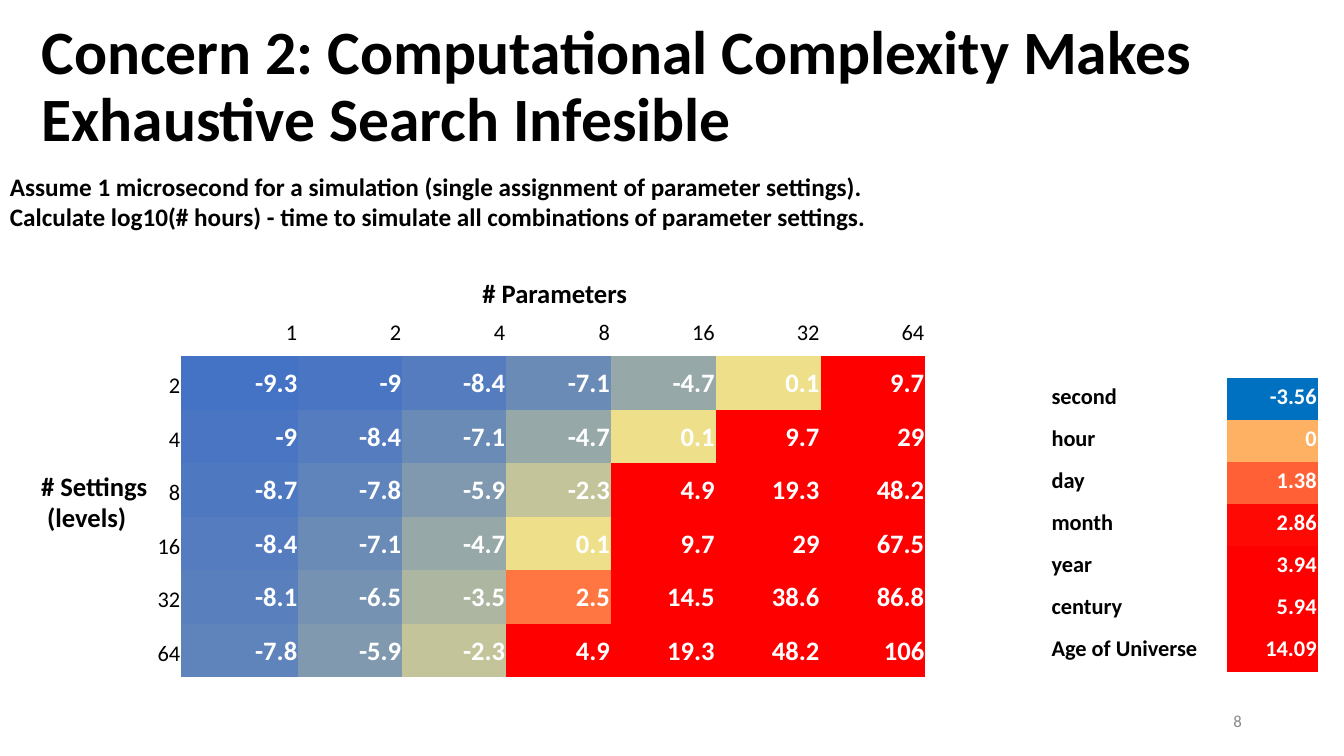
"""Build the slide on the computational cost of exhaustive search."""
from math import log2, log10

from pptx import Presentation
from pptx.dml.color import RGBColor
from pptx.enum.text import MSO_ANCHOR as Anchor, MSO_AUTO_SIZE as AutoSize, PP_ALIGN as Align
from pptx.util import Cm, Pt

FONT = "Calibri"
BLACK = RGBColor(0x00, 0x00, 0x00)
WHITE = RGBColor(0xFF, 0xFF, 0xFF)
GREY = RGBColor(0x88, 0x88, 0x88)
RED = RGBColor(0xFF, 0x00, 0x00)
BLUE = RGBColor(0x00, 0x70, 0xC0)
APRICOT = RGBColor(0xFF, 0xB1, 0x63)
CORAL = RGBColor(0xFF, 0x60, 0x36)
SCARLET = RGBColor(0xFF, 0x09, 0x05)
HEAT_BY_BITS = {
    1: RGBColor(0x44, 0x72, 0xC4),
    2: RGBColor(0x49, 0x75, 0xC3),
    3: RGBColor(0x4E, 0x79, 0xC1),
    4: RGBColor(0x54, 0x7C, 0xBF),
    5: RGBColor(0x59, 0x80, 0xBD),
    6: RGBColor(0x5F, 0x83, 0xBB),
    8: RGBColor(0x6B, 0x8B, 0xB7),
    10: RGBColor(0x76, 0x92, 0xB3),
    12: RGBColor(0x81, 0x99, 0xAF),
    16: RGBColor(0x97, 0xA8, 0xA8),
    20: RGBColor(0xAD, 0xB6, 0xA0),
    24: RGBColor(0xC3, 0xC4, 0x99),
    32: RGBColor(0xEE, 0xE0, 0x8A),
    40: RGBColor(0xFF, 0x76, 0x42),
}
PLAIN_TABLE = "{2D5ABB26-0587-4C30-8999-92F81FD0307C}"
RUNS_PER_HOUR = 3600 * 10 ** 6

PARAMETERS = [1, 2, 4, 8, 16, 32, 64]
LEVELS = [2, 4, 8, 16, 32, 64]
DURATIONS = [
    ("second", "-3.56", BLUE),
    ("hour", "0", APRICOT),
    ("day", "1.38", CORAL),
    ("month", "2.86", SCARLET),
    ("year", "3.94", RED),
    ("century", "5.94", RED),
    ("Age of Universe", "14.09", RED),
]


class SlideBuilder:
    """Holds the text style and the slide being filled."""

    def __init__(self, slide):
        self.slide = slide

    def set_text(self, frame, text, size, color=BLACK, bold=True, align=Align.LEFT, spacing=1.0):
        frame.text = text
        for paragraph in frame.paragraphs:
            paragraph.alignment = align
            paragraph.line_spacing = spacing
            for run in paragraph.runs:
                run.font.name = FONT
                run.font.size = Pt(size)
                run.font.bold = bold
                run.font.color.rgb = color

    def title(self, text, left, top, width, height):
        heading = self.slide.shapes.title
        heading.left, heading.top = Cm(left), Cm(top)
        heading.width, heading.height = Cm(width), Cm(height)
        frame = heading.text_frame
        frame.word_wrap = True
        frame.auto_size = AutoSize.NONE
        frame.vertical_anchor = Anchor.MIDDLE
        self.set_text(frame, text, 44, spacing=0.9)

    def label(self, text, left, top, width, height, size, inset=0.25, grow=True,
              anchor=Anchor.TOP, **style):
        box = self.slide.shapes.add_textbox(Cm(left), Cm(top), Cm(width), Cm(height))
        frame = box.text_frame
        frame.word_wrap = True
        frame.auto_size = AutoSize.SHAPE_TO_FIT_TEXT if grow else AutoSize.NONE
        frame.vertical_anchor = anchor
        frame.margin_left = frame.margin_right = Cm(0.25)
        frame.margin_top = frame.margin_bottom = Cm(inset)
        self.set_text(frame, text, size, **style)

    def table(self, left, top, widths, row_height, row_count):
        frame = self.slide.shapes.add_table(
            row_count, len(widths), Cm(left), Cm(top),
            Cm(sum(widths)), Cm(row_height * row_count))
        grid = frame.table
        grid.first_row = grid.horz_banding = False
        grid._tbl.tblPr[0].text = PLAIN_TABLE
        for column, width in zip(grid.columns, widths):
            column.width = Cm(width)
        for row in grid.rows:
            row.height = Cm(row_height)
        return grid

    def cell(self, cell, text, size, fill=None, **style):
        cell.margin_left = cell.margin_right = cell.margin_top = Cm(0.03)
        cell.margin_bottom = Cm(0.25)
        cell.vertical_anchor = Anchor.BOTTOM
        if fill is None:
            cell.fill.background()
        else:
            cell.fill.solid()
            cell.fill.fore_color.rgb = fill
        self.set_text(cell.text_frame, text, size, **style)

    def number_cell(self, cell, text, size, **style):
        self.cell(cell, text, size, align=Align.RIGHT, spacing=1.15, **style)


def add_hours_table(builder):
    widths = [3.3, 2.95] + [2.62] * 2 + [2.64] * 4
    hours = builder.table(1.27, 7.62, widths, 1.35, len(LEVELS) + 1)
    for column, count in enumerate(PARAMETERS, 1):
        builder.number_cell(hours.cell(0, column), str(count), 16, bold=False)
    for row, level in enumerate(LEVELS, 1):
        builder.number_cell(hours.cell(row, 0), str(level), 16, bold=False)
        for column, count in enumerate(PARAMETERS, 1):
            log_hours = count * log10(level) - log10(RUNS_PER_HOUR)
            heat = HEAT_BY_BITS.get(round(count * log2(level)), RED)
            builder.number_cell(hours.cell(row, column), f"{round(log_hours, 1):g}", 19,
                                fill=heat, color=WHITE)


def add_duration_key(builder):
    key = builder.table(26.47, 9.53, [4.45, 2.29], 1.01, len(DURATIONS))
    for row, (duration, log_hours, heat) in enumerate(DURATIONS):
        builder.cell(key.cell(row, 0), duration, 16)
        builder.number_cell(key.cell(row, 1), log_hours, 16, fill=heat, color=WHITE)


def main():
    deck = Presentation()
    deck.slide_width, deck.slide_height = Cm(33.87), Cm(19.05)
    builder = SlideBuilder(deck.slides.add_slide(deck.slide_layouts[5]))
    builder.title("Concern 2: Computational Complexity Makes Exhaustive Search Infesible",
                  0.79, 0.38, 32.08, 3.68)
    builder.label("# Parameters", 11.91, 6.73, 5.89, 1.32, 19)
    builder.label("# Settings\n (levels)", 0.79, 11.58, 3.25, 2.13, 19)
    builder.label("Assume 1 microsecond for a simulation (single assignment of parameter settings).\n"
                  "Calculate log10(# hours) - time to simulate all combinations of parameter settings.",
                  0, 4.06, 23.8, 2.06, 18)
    add_hours_table(builder)
    add_duration_key(builder)
    builder.label("8", 23.93, 17.65, 7.62, 1.02, 12, inset=0.13, grow=False,
                  anchor=Anchor.MIDDLE, color=GREY, bold=False, align=Align.RIGHT)
    deck.save("out.pptx")


if __name__ == "__main__":
    main()
